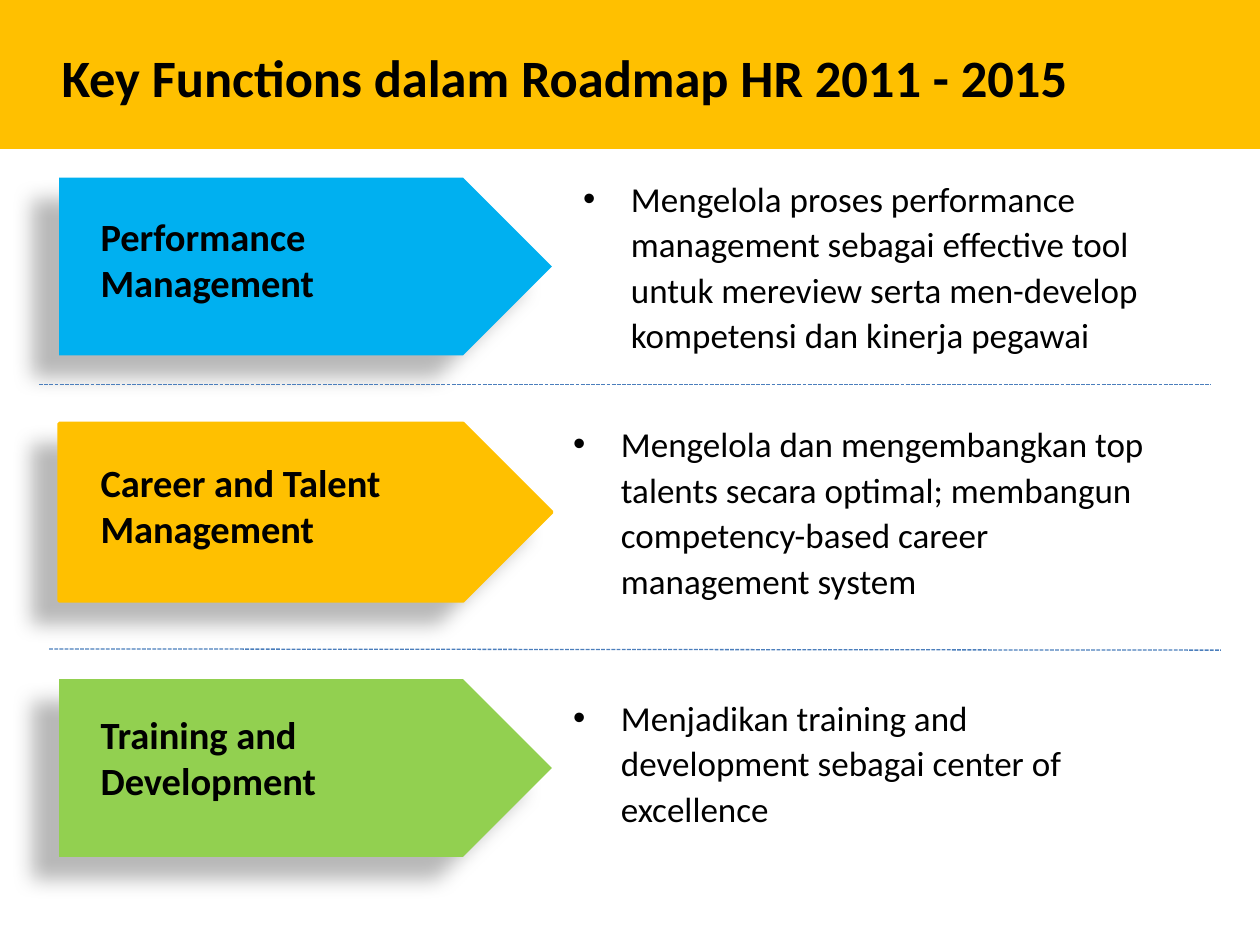
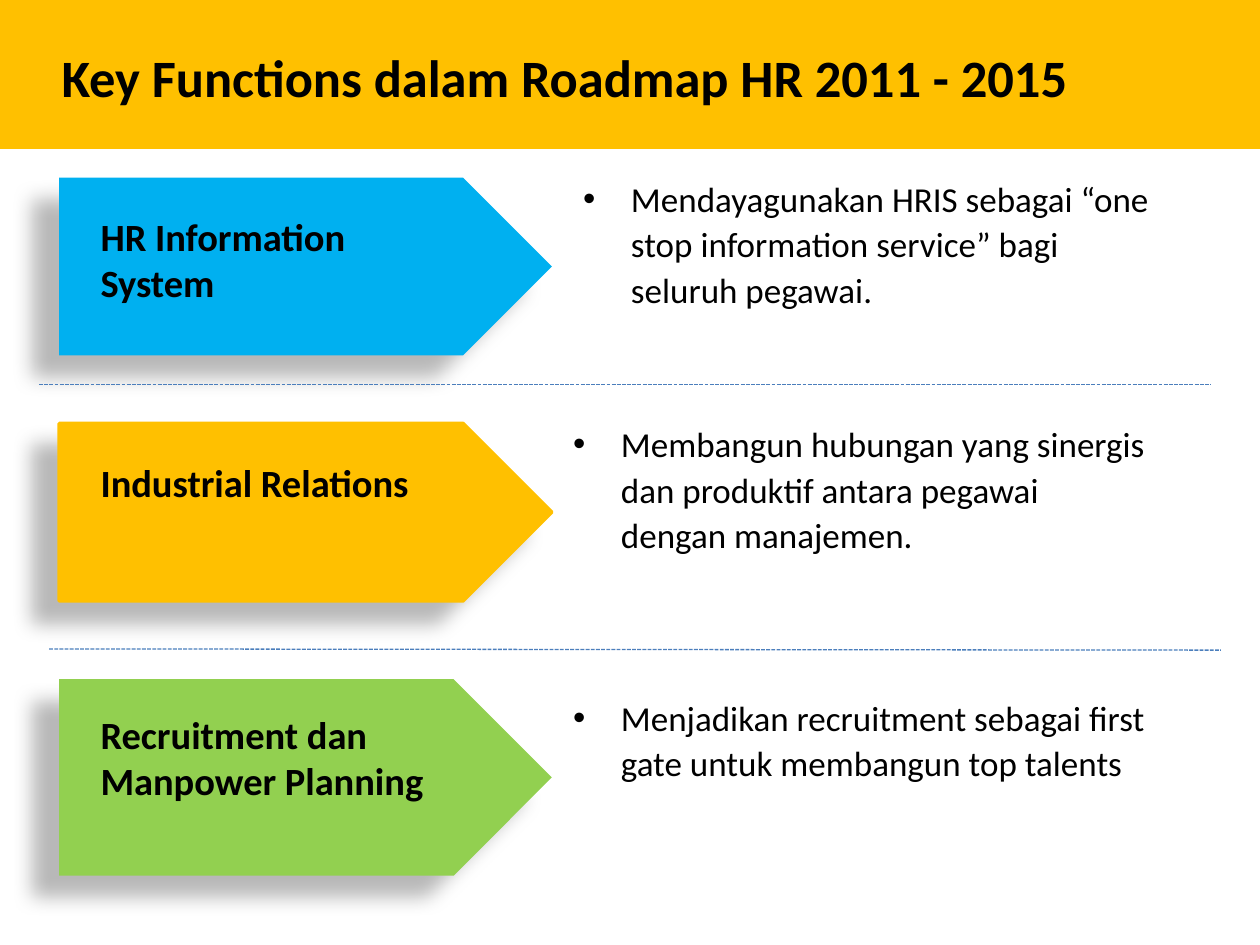
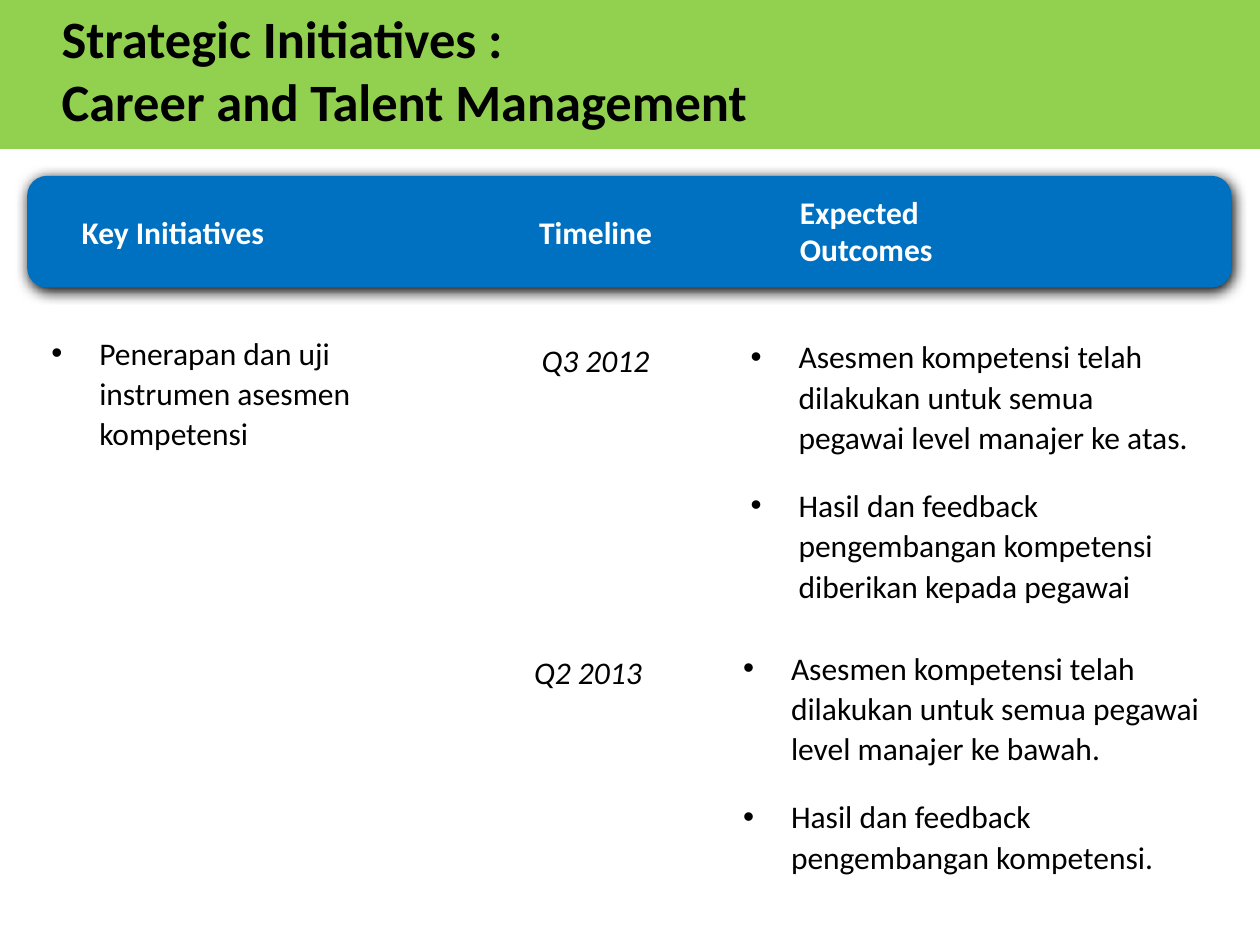
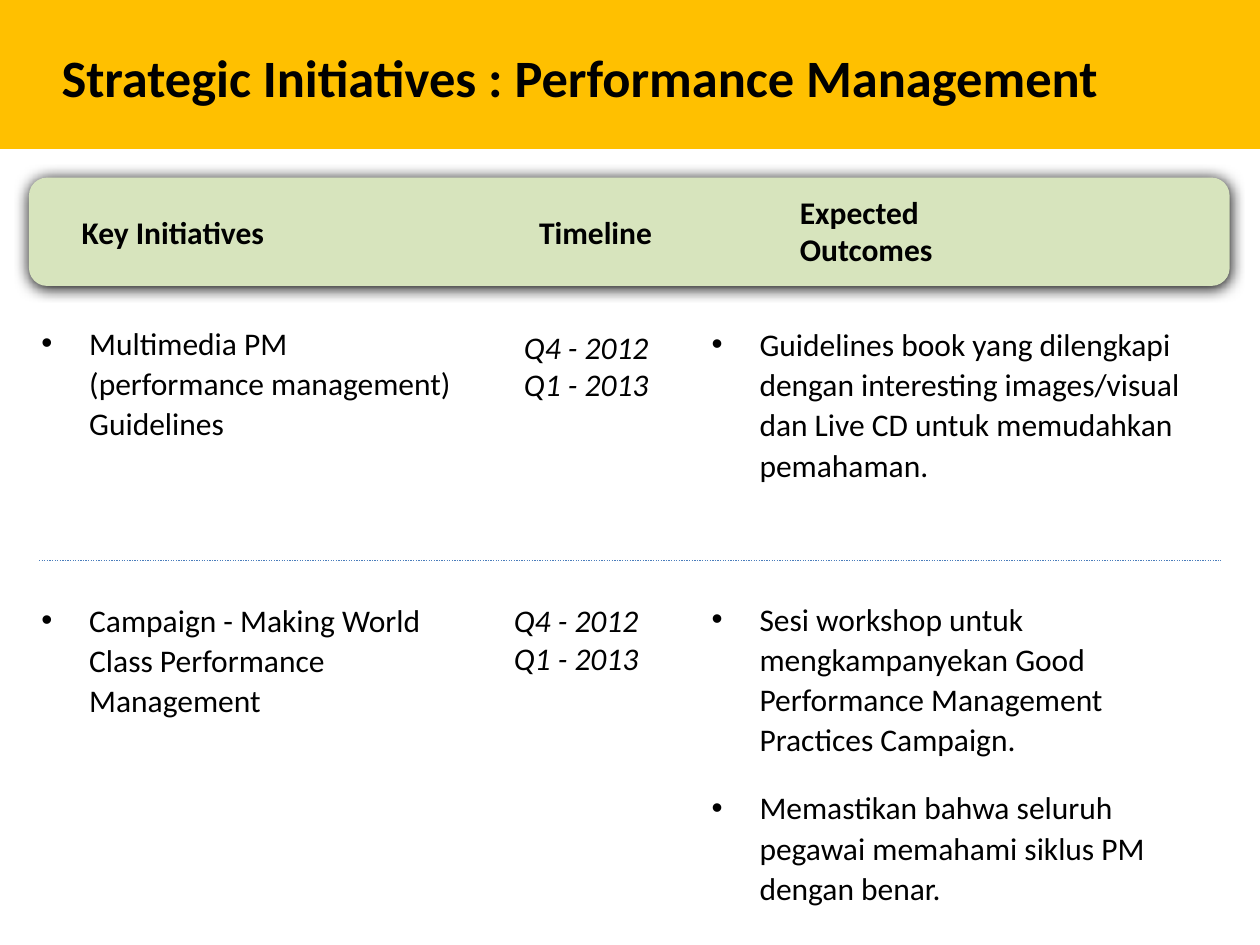
import lxml.etree
import pptx
import pptx.dml.color
import pptx.enum.dml
import pptx.enum.shapes
import pptx.enum.text
import pptx.oxml.ns
import pptx.util
from dataclasses import dataclass

Inches = pptx.util.Inches
Pt = pptx.util.Pt
RGBColor = pptx.dml.color.RGBColor
Shape = pptx.enum.shapes.MSO_SHAPE
Dash = pptx.enum.dml.MSO_LINE
qn = pptx.oxml.ns.qn


@dataclass(frozen=True)
class Theme:
    font: str = "Calibri"
    black: str = "000000"
    white: str = "FFFFFF"
    amber: str = "FFC000"
    green: str = "92D050"
    sky: str = "00B0F0"
    blue: str = "0070C0"
    sage: str = "D7E4BD"
    rule: str = "4B7EBC"
    title_size: int = 30
    label_size: int = 22
    function_size: int = 20
    table_size: int = 18
    function_pitch: int = 26
    table_pitch: int = 23
    # Shadows: opacity %, blur pt, distance pt, direction in degrees
    deep_shadow: tuple = (28, 11.8, 19.7, 141)
    glow_shadow: tuple = (100, 8.5, 1, 90)


theme = Theme()


def add_panel(page, kind, place, color, outlined=False, shadow=None):
    """Add a filled preset shape, with an optional outline and shadow."""
    panel = page.shapes.add_shape(kind, *map(Inches, place))
    panel.fill.solid()
    panel.fill.fore_color.rgb = RGBColor.from_string(color)
    if outlined:
        panel.line.color.rgb = RGBColor.from_string(color)
        panel.line.width = Pt(2)
    else:
        panel.line.fill.background()
    panel.shadow.inherit = False
    if shadow:
        opacity, blur, distance, direction = shadow
        effects = panel._element.spPr.find(qn("a:effectLst"))
        outer = lxml.etree.SubElement(
            effects, qn("a:outerShdw"), blurRad=str(Pt(blur)), dist=str(Pt(distance)),
            dir=str(direction * 60000), algn="ctr", rotWithShape="0")
        tint = lxml.etree.SubElement(outer, qn("a:srgbClr"), val=theme.black)
        lxml.etree.SubElement(tint, qn("a:alpha"), val=str(opacity * 1000))


def add_text(page, place, lines, size, bold=False, italic=False, color=theme.black,
             wrap=True, pitch=None, gap=0):
    """Add a text box; a line pitch in points makes its paragraphs bulleted."""
    box = page.shapes.add_textbox(*map(Inches, place))
    frame = box.text_frame
    frame.word_wrap = wrap
    frame.auto_size = pptx.enum.text.MSO_AUTO_SIZE.SHAPE_TO_FIT_TEXT
    for index, line in enumerate(lines):
        para = frame.add_paragraph() if index else frame.paragraphs[0]
        para.text = line
        if pitch:
            para.line_spacing = Pt(pitch)
            para.space_before = Pt(gap if index else 0)
            para.space_after = Pt(gap)
            properties = para._p.get_or_add_pPr()
            properties.set("marL", str(Inches(0.38)))
            properties.set("indent", str(Inches(-0.38)))
            lxml.etree.SubElement(properties, qn("a:buFont"), typeface="Arial")
            lxml.etree.SubElement(properties, qn("a:buChar"), char="•")
        para.font.name = theme.font
        para.font.size = Pt(size)
        para.font.bold = bold
        para.font.italic = italic
        para.font.color.rgb = RGBColor.from_string(color)


deck = pptx.Presentation()
deck.slide_width, deck.slide_height = Inches(10), Inches(7.5)

# Title bands
key_functions = "Key Functions dalam Roadmap HR 2011 - 2015"
titles = [
    ([key_functions], theme.amber),
    ([key_functions], theme.amber),
    (["Strategic Initiatives :", "Career and Talent Management"], theme.green),
    (["Strategic Initiatives : Performance Management"], theme.amber),
]
pages = []
for lines, color in titles:
    page = deck.slides.add_slide(deck.slide_layouts[6])
    pages.append(page)
    add_panel(page, Shape.RECTANGLE, (0, 0, 10, 1.17), color, outlined=True)
    top, height = (0.31, 0.61) if len(lines) == 1 else (0, 1.11)
    add_text(page, (0.39, top, 8.5, height), lines, theme.title_size, bold=True, wrap=False)

# Key functions: arrow label on the left, description on the right
# Each row: arrow top, colour, outlined, label top, description left and top
function_rows = [
    (1.41, theme.sky, False, 1.64, 4.53, 1.33),
    (3.36, theme.amber, True, 3.59, 4.45, 3.28),
    (5.39, theme.green, False, 5.59, 4.45, 5.45),
]
# Each function: label, description, arrow height
functions = [
    [
        ("Performance Management",
         "Mengelola proses performance management sebagai effective tool untuk mereview "
         "serta men-develop kompetensi dan kinerja pegawai", 1.41),
        ("Career and Talent Management",
         "Mengelola dan mengembangkan top talents secara optimal; membangun "
         "competency-based career management system", 1.41),
        ("Training and Development",
         "Menjadikan training and development sebagai center of excellence", 1.41),
    ],
    [
        ("HR Information System",
         "Mendayagunakan HRIS sebagai “one stop information service” bagi seluruh pegawai.",
         1.41),
        ("Industrial Relations",
         "Membangun hubungan yang sinergis dan produktif antara pegawai dengan manajemen.",
         1.41),
        ("Recruitment dan Manpower Planning",
         "Menjadikan recruitment sebagai first gate untuk membangun top talents", 1.56),
    ],
]
for page, page_functions in zip(pages, functions):
    for row, (label, description, arrow_height) in zip(function_rows, page_functions):
        arrow_top, color, outlined, label_top, left, top = row
        add_panel(page, Shape.PENTAGON, (0.47, arrow_top, 3.91, arrow_height), color,
                  outlined, theme.deep_shadow)
        add_text(page, (0.7, label_top, 2.9, 0.84), [label], theme.label_size, bold=True)
        add_text(page, (left, top, 4.77, 1.19), [description], theme.function_size,
                 pitch=theme.function_pitch)

# Column headings of the initiative pages
headings = [
    ("Key Initiatives", (0.55, 1.64, 1.66, 0.4), False),
    ("Timeline", (4.18, 1.64, 1.1, 0.4), False),
    ("Expected Outcomes", (6.25, 1.48, 1.62, 0.71), True),
]
heading_bars = [
    (pages[2], theme.blue, True, theme.white),
    (pages[3], theme.sage, False, theme.black),
]
for page, color, outlined, text_color in heading_bars:
    add_panel(page, Shape.ROUNDED_RECTANGLE, (0.23, 1.41, 9.53, 0.86), color,
              outlined, theme.glow_shadow)
    for heading, place, wrap in headings:
        add_text(page, place, [heading], theme.table_size, bold=True,
                 color=text_color, wrap=wrap)

# Initiatives and expected outcomes
bulleted = [
    (pages[2], (0.31, 2.58, 3.36, 1.07), ["Penerapan dan uji instrumen asesmen kompetensi"]),
    (pages[2], (5.86, 2.61, 3.67, 2.26), [
        "Asesmen kompetensi telah dilakukan untuk semua pegawai level manajer ke atas.",
        "Hasil dan feedback pengembangan kompetensi diberikan kepada pegawai"]),
    (pages[2], (5.8, 5.08, 3.96, 1.94), [
        "Asesmen kompetensi telah dilakukan untuk semua pegawai level manajer ke bawah.",
        "Hasil dan feedback pengembangan kompetensi."]),
    (pages[3], (0.23, 2.5, 3.52, 1.07), [
        "Multimedia PM (performance management) Guidelines"]),
    (pages[3], (5.55, 2.51, 4.14, 1.39), [
        "Guidelines book yang dilengkapi dengan interesting images/visual dan Live CD "
        "untuk memudahkan pemahaman."]),
    (pages[3], (0.23, 4.7, 3.36, 1.05), [
        "Campaign - Making World Class Performance Management"]),
    (pages[3], (5.55, 4.69, 4.14, 2.58), [
        "Sesi workshop untuk mengkampanyekan Good Performance Management Practices Campaign.",
        "Memastikan bahwa seluruh pegawai memahami siklus PM dengan benar."]),
]
for page, place, lines in bulleted:
    add_text(page, place, lines, theme.table_size, pitch=theme.table_pitch, gap=8)

# Timelines
quarters = ["Q4 - 2012", "Q1 - 2013"]
timelines = [
    (pages[2], (4.2, 2.66, 1.13, 0.4), ["Q3 2012"]),
    (pages[2], (4.14, 5.13, 1.07, 0.4), ["Q2 2013"]),
    (pages[3], (4.06, 2.55, 1.32, 0.71), quarters),
    (pages[3], (3.98, 4.72, 1.26, 0.71), quarters),
]
for page, place, lines in timelines:
    add_text(page, place, lines, theme.table_size, italic=True, wrap=False)

# Dividing lines between rows
dividers = [(page, *ends, Dash.SQUARE_DOT)
            for page in pages[:2]
            for ends in ((0.31, 3.05, 9.61, 3.05), (0.39, 5.15, 9.69, 5.16))]
dividers.append((pages[3], 0.31, 4.45, 9.69, 4.45, Dash.ROUND_DOT))
dash_names = {Dash.SQUARE_DOT: "sysDash", Dash.ROUND_DOT: "sysDot"}
for page, *ends, dash in dividers:
    divider = page.shapes.add_connector(
        pptx.enum.shapes.MSO_CONNECTOR.STRAIGHT, *map(Inches, ends))
    divider.line.color.rgb = RGBColor.from_string(theme.rule)
    divider.line.width = Pt(0.75)
    divider.line.dash_style = dash
    divider.line._ln.find(qn("a:prstDash")).set("val", dash_names[dash])
    lxml.etree.SubElement(divider._element.spPr, qn("a:effectLst"))

deck.save("out.pptx")
